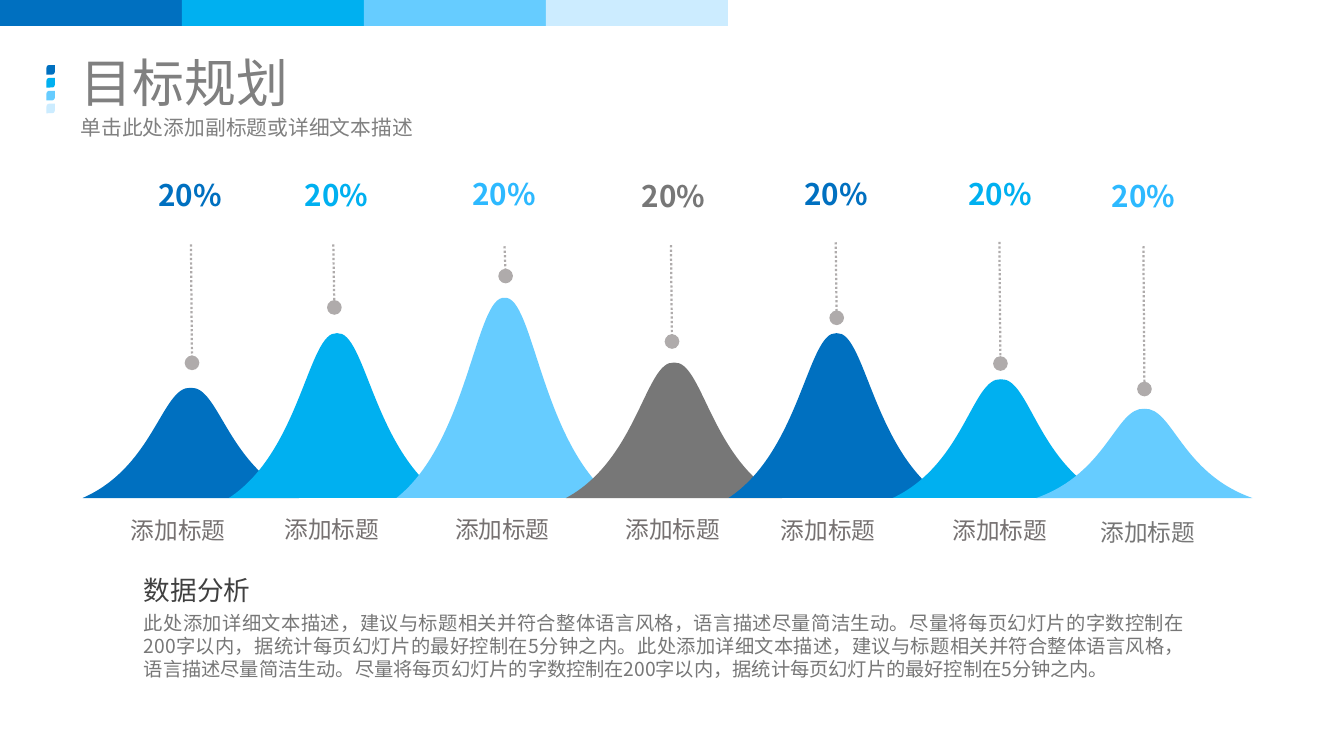
from lxml.etree import SubElement
from pptx import Presentation
from pptx.dml.color import RGBColor
from pptx.enum.dml import MSO_LINE
from pptx.enum.shapes import MSO_CONNECTOR, MSO_SHAPE
from pptx.enum.text import MSO_ANCHOR, PP_ALIGN
from pptx.oxml.ns import qn
from pptx.util import Pt

FONT = "Noto Sans CJK SC"
BLUE = RGBColor(0x00, 0x70, 0xC0)
CYAN = RGBColor(0x00, 0xB0, 0xF0)
SKY = RGBColor(0x66, 0xCC, 0xFF)
PALE = RGBColor(0xCC, 0xEC, 0xFF)
SKY_TEXT = RGBColor(0x2D, 0xB9, 0xFF)
GRAY = RGBColor(0x77, 0x77, 0x77)
LABEL_GRAY = RGBColor(0x76, 0x71, 0x71)
TITLE_GRAY = RGBColor(0x80, 0x80, 0x80)
LEADER_GRAY = RGBColor(0xAF, 0xAB, 0xAB)
DARK = RGBColor(0x40, 0x40, 0x40)

deck = Presentation()
deck.slide_width, deck.slide_height = Pt(907.2), Pt(510.5)
slide = deck.slides.add_slide(deck.slide_layouts[6])
shapes = slide.shapes


def add_text(paragraphs, left, top, width, height, align=PP_ALIGN.LEFT, bold=False,
             anchor=MSO_ANCHOR.TOP, inset=(7.2, 3.6), before=0):
    """Add a text box; each paragraph is (text, size, colour)."""
    frame = shapes.add_textbox(Pt(left), Pt(top), Pt(width), Pt(height)).text_frame
    frame.word_wrap = True
    frame.vertical_anchor = anchor
    frame.margin_left = frame.margin_right = Pt(inset[0])
    frame.margin_top = frame.margin_bottom = Pt(inset[1])
    for index, (text, size, color) in enumerate(paragraphs):
        paragraph = frame.add_paragraph() if index else frame.paragraphs[0]
        paragraph.alignment = align
        paragraph.space_before = Pt(before)
        run = paragraph.add_run()
        run.text = text
        run.font.size = Pt(size)
        run.font.bold = bold
        run.font.color.rgb = color
        run.font.name = FONT
        SubElement(run.font._element, qn("a:ea"), typeface=FONT)


def paint(shape, color):
    shape.shadow.inherit = False
    shape.fill.solid()
    shape.fill.fore_color.rgb = color
    shape.line.fill.background()


# Bell peaks: center, height, fill, percent colour, percent top,
# label center, label top, label colour, leader x, leader top, leader bottom
BASELINE, HALF_WIDTH, LEADER_SLANT = 336.3, 73, 0.7
peaks = [
    (128.7, 75.6, BLUE, BLUE, 115.9, 120.2, 344.5, LABEL_GRAY, 128.9, 165.1, 245),
    (227.5, 113, CYAN, CYAN, 115.9, 223.9, 344.2, LABEL_GRAY, 225, 165.1, 207.6),
    (340.6, 137.2, SKY, SKY_TEXT, 115.2, 339.1, 344.2, LABEL_GRAY, 340.6, 166.3, 186.4),
    (455, 92.9, GRAY, GRAY, 116.6, 454.3, 344.2, LABEL_GRAY, 452.9, 165.6, 230.6),
    (564.7, 113, BLUE, BLUE, 115.2, 559, 344.9, LABEL_GRAY, 564.1, 163.6, 214.6),
    (675.6, 81.4, CYAN, CYAN, 115.2, 675, 344.9, LABEL_GRAY, 674.6, 163.4, 245.5),
    (772.4, 61.2, SKY, SKY_TEXT, 116.6, 774.7, 346.3, GRAY, 771.8, 166.3, 262.7),
]

# Right foot, two handles, summit, two handles, left foot
bell = [(1, 0), (0.335, 0.28), (0.265, 1), (0, 0.985), (-0.265, 1), (-0.335, 0.28), (-1, 0)]

for (center, height, fill, percent_color, percent_top, label_center, label_top,
     label_color, leader_x, leader_top, leader_bottom) in peaks:
    builder = shapes.build_freeform(Pt(center), Pt(BASELINE), scale=1.0)
    builder.add_line_segments([(Pt(center + across * HALF_WIDTH), Pt(BASELINE - up * height))
                               for across, up in bell], close=True)
    hill = builder.convert_to_shape()
    # Join each two handles and their end point into one curve
    segments = list(hill._element.iter(qn("a:lnTo")))
    for first in (1, 4):
        handle, *others = segments[first:first + 3]
        curve = handle.makeelement(qn("a:cubicBezTo"))
        handle.addprevious(curve)
        for segment in (handle, *others):
            curve.append(segment[0])
            segment.getparent().remove(segment)
    paint(hill, fill)

    add_text([("添加标题", 16, label_color)], label_center - 56, label_top, 112, 26.6,
             align=PP_ALIGN.CENTER)
    add_text([("20%", 20, percent_color)], center - 38.4, percent_top, 76, 31.7,
             align=PP_ALIGN.CENTER, bold=True)

    leader = shapes.add_connector(MSO_CONNECTOR.STRAIGHT, Pt(leader_x), Pt(leader_top),
                                  Pt(leader_x + LEADER_SLANT), Pt(leader_bottom))
    leader.line.color.rgb = LEADER_GRAY
    leader.line.width = Pt(1.5)
    leader.line.dash_style = MSO_LINE.ROUND_DOT
    SubElement(leader.line._get_or_add_ln(), qn("a:tailEnd"), type="oval", w="lg", len="lg")
    SubElement(leader._element.spPr, qn("a:effectLst"))

# Analysis
analysis = (
    "此处添加详细文本描述，建议与标题相关并符合整体语言风格，语言描述尽量简洁生动。"
    "尽量将每页幻灯片的字数控制在200字以内，据统计每页幻灯片的最好控制在5分钟之内。"
)
add_text([("数据分析", 18, DARK), (analysis * 2, 13, GRAY)], 90, 383.8, 716.4, 88.6,
         align=PP_ALIGN.JUSTIFY, before=3.5)

# Title and subtitle
add_text([("目标规划", 35, TITLE_GRAY)], 45, 36.9, 816.5, 36.7,
         anchor=MSO_ANCHOR.MIDDLE, inset=(9.4, 4.3))
add_text([("单击此处添加副标题或详细文本描述", 14, TITLE_GRAY)], 45, 73.4, 816.5, 30.2,
         inset=(9.4, 4.3), before=2.8)

# Top band and title marks
BAND_WIDTH, MARK_STEP = 122.85, 8.7
for index, color in enumerate([BLUE, CYAN, SKY, PALE]):
    band = shapes.add_shape(MSO_SHAPE.RECTANGLE, Pt(index * BAND_WIDTH), Pt(0),
                            Pt(BAND_WIDTH), Pt(17.5))
    paint(band, color)
    mark = shapes.add_shape(MSO_SHAPE.ROUND_2_DIAG_RECTANGLE, Pt(31.4),
                            Pt(43.9 + index * MARK_STEP), Pt(5.6), Pt(6.5))
    mark.adjustments[0] = 0.33
    paint(mark, color)

deck.save("out.pptx")
